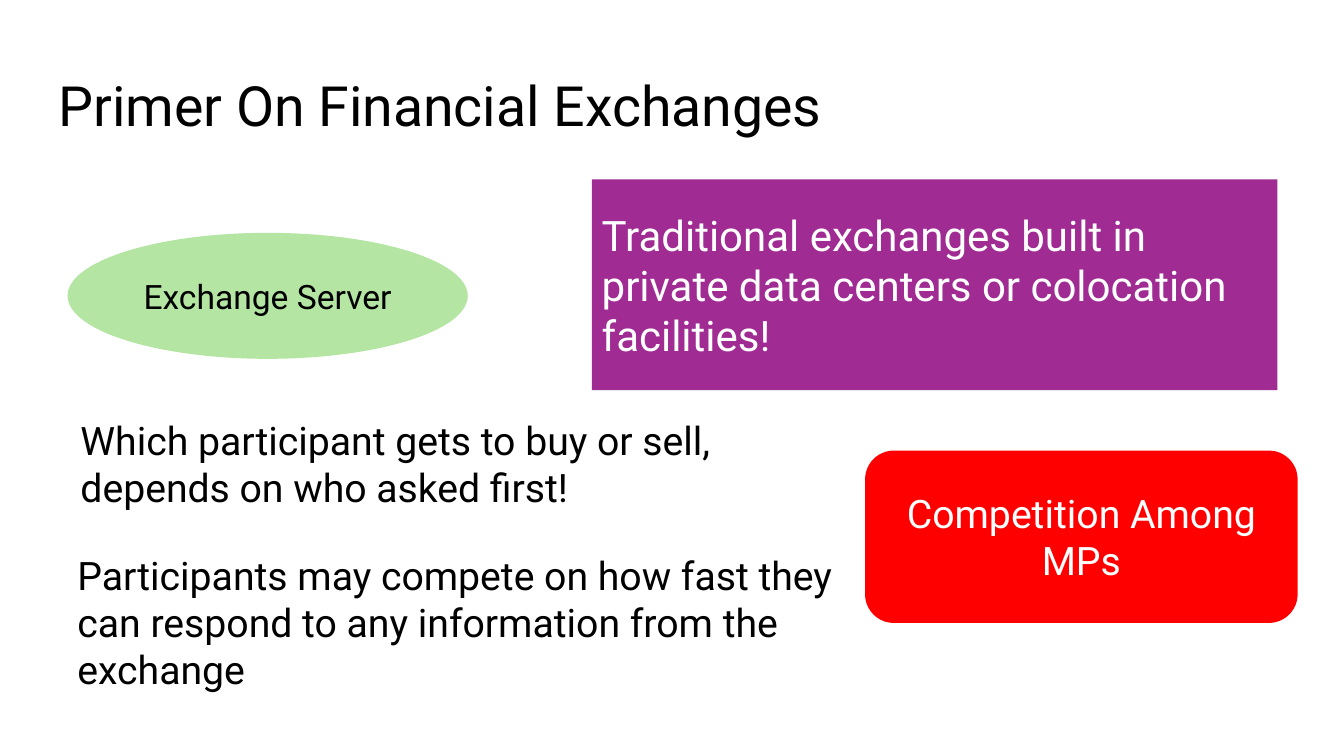
from pptx import Presentation
from pptx.dml.color import RGBColor
from pptx.enum.shapes import MSO_SHAPE as SHAPE
from pptx.enum.text import MSO_ANCHOR as ANCHOR, PP_ALIGN as ALIGN
from pptx.util import Inches, Pt

BLACK = RGBColor(0x00, 0x00, 0x00)
WHITE = RGBColor(0xFF, 0xFF, 0xFF)
GREEN = RGBColor(0xB4, 0xE5, 0xA2)
RED = RGBColor(0xFF, 0x00, 0x00)
PURPLE = RGBColor(0xA0, 0x2B, 0x93)
FONT = "Roboto"


def write(sp, text, size=28, color=BLACK, align=ALIGN.LEFT,
          anchor=ANCHOR.TOP, spacing=None, inset=None):
    tf = sp.text_frame
    tf.word_wrap = True
    tf.vertical_anchor = anchor
    if inset is not None:
        tf.margin_left = tf.margin_right = Inches(inset)
        tf.margin_top = tf.margin_bottom = Inches(inset)
    p = tf.paragraphs[0]
    p.alignment = align
    if spacing:
        p.line_spacing = spacing
    r = p.add_run()
    r.text = text
    r.font.name = FONT
    r.font.size = Pt(size)
    r.font.color.rgb = color


def add_text(s, box, text, **fmt):
    sp = s.shapes.add_textbox(*map(Inches, box))
    write(sp, text, **fmt)


def add_callout(s, box, kind, fill, text, **fmt):
    sp = s.shapes.add_shape(kind, *map(Inches, box))
    sp.shadow.inherit = False
    sp.fill.solid()
    sp.fill.fore_color.rgb = fill
    sp.line.fill.background()
    write(sp, text, anchor=ANCHOR.MIDDLE, **fmt)


def build_primer(s):
    add_text(s, (0.45, 0.65, 12.42, 0.84), "Primer On Financial Exchanges",
             size=39.6, spacing=0.9, inset=0.13)
    add_callout(s, (0.67, 2.31, 3.97, 1.25), SHAPE.OVAL, GREEN,
                "Exchange Server", size=24, align=ALIGN.CENTER)
    add_text(s, (0.7, 4.08, 7.87, 1.04),
             "Which participant gets to buy or sell, depends on who asked first!")
    add_text(s, (0.67, 5.42, 7.87, 1.51),
             "Participants may compete on how fast they can respond to any "
             "information from the exchange")
    add_callout(s, (8.58, 4.47, 4.29, 1.71), SHAPE.ROUNDED_RECTANGLE, RED,
                "Competition Among MPs", color=WHITE, align=ALIGN.CENTER)
    add_callout(s, (5.87, 1.78, 6.8, 2.09), SHAPE.RECTANGLE, PURPLE,
                "Traditional exchanges built in private data centers or "
                "colocation facilities!", size=30, color=WHITE)


def main():
    prs = Presentation()
    prs.slide_width = Inches(13.33)
    prs.slide_height = Inches(7.5)
    build_primer(prs.slides.add_slide(prs.slide_layouts[6]))
    prs.save("out.pptx")


if __name__ == "__main__":
    main()
